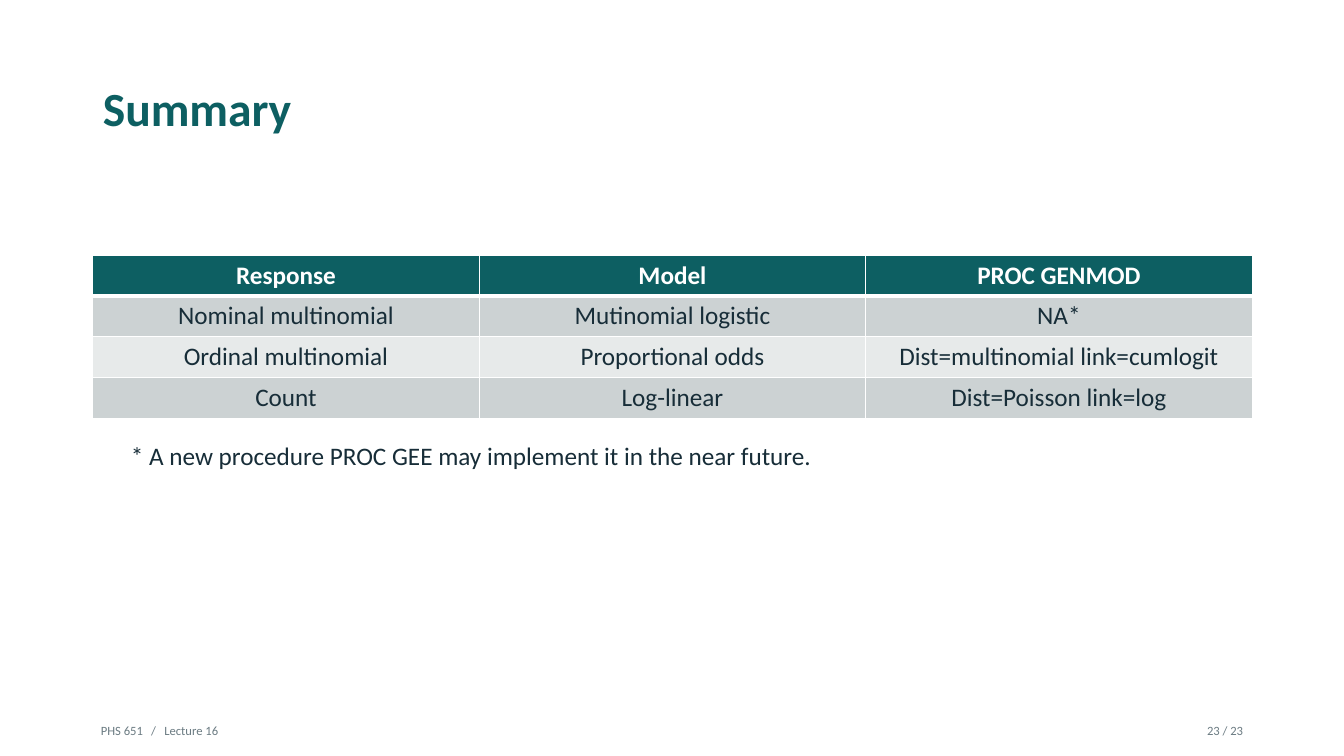
import pptx
import pptx.dml.color
import pptx.enum.text
import pptx.oxml.ns
import pptx.util
from lxml import etree

Inches, Pt = pptx.util.Inches, pptx.util.Pt
ALIGN = pptx.enum.text.PP_ALIGN
ANCHOR = pptx.enum.text.MSO_ANCHOR
AUTO_SIZE = pptx.enum.text.MSO_AUTO_SIZE

FONT = "Calibri"
COLORS = {
    "teal": "0D5F62",
    "ink": "172D38",
    "muted": "6B7B82",
    "white": "FFFFFF",
    "band_dark": "CCD2D3",
    "band_light": "E7EAEA",
}

# Page grid, in inches
WIDTH, HEIGHT = 13.33, 7.5
MARGIN = 0.92
CONTENT_W = 11.5
ROW_H = 0.405
FOOTER_Y, FOOTER_H = 7.17, 0.21

ROWS = [
    ["Response", "Model", "PROC GENMOD"],
    ["Nominal multinomial", "Mutinomial logistic", "NA*"],
    ["Ordinal multinomial", "Proportional odds", "Dist=multinomial link=cumlogit"],
    ["Count", "Log-linear", "Dist=Poisson link=log"],
]


def rgb(name):
    return pptx.dml.color.RGBColor.from_string(COLORS[name])


def add_run(p, text, size, color, bold=False):
    r = p.add_run()
    r.text = text
    r.font.name = FONT
    r.font.size = Pt(size)
    r.font.bold = bold
    r.font.color.rgb = rgb(color)


def add_title(s, text):
    sp = s.shapes.title
    sp.left, sp.top = Inches(MARGIN), Inches(0.4)
    sp.width, sp.height = Inches(CONTENT_W), Inches(1.34)
    tf = sp.text_frame
    tf.auto_size = AUTO_SIZE.NONE
    tf.vertical_anchor = ANCHOR.MIDDLE
    tf.margin_left = tf.margin_right = Inches(0.1)
    tf.margin_top = tf.margin_bottom = 0
    p = tf.paragraphs[0]
    p.alignment = ALIGN.LEFT
    add_run(p, text, 34, "teal", bold=True)


def add_text(s, box, text, size, color, align=ALIGN.LEFT, inset=True, wrap=True, tabs=()):
    sp = s.shapes.add_textbox(*map(Inches, box))
    tf = sp.text_frame
    tf.word_wrap = wrap
    if not inset:
        tf.margin_left = tf.margin_right = tf.margin_top = tf.margin_bottom = 0
    p = tf.paragraphs[0]
    p.alignment = align
    if tabs:
        tab_list = etree.SubElement(p._p.get_or_add_pPr(), pptx.oxml.ns.qn("a:tabLst"))
        for pos in tabs:
            etree.SubElement(tab_list, pptx.oxml.ns.qn("a:tab"), pos=str(Inches(pos)), algn="l")
    add_run(p, text, size, color)
    return tf


def set_borders(cell, bottom, top):
    """Draw white rules on all four sides, placed before the cell's fill."""
    tc_pr = cell._tc.get_or_add_tcPr()
    widths = {"lnL": 1, "lnR": 1, "lnT": top, "lnB": bottom}
    for i, (side, width) in enumerate(widths.items()):
        ln = etree.Element(pptx.oxml.ns.qn(f"a:{side}"), w=str(Pt(width)))
        fill = etree.SubElement(ln, pptx.oxml.ns.qn("a:solidFill"))
        etree.SubElement(fill, pptx.oxml.ns.qn("a:srgbClr"), val=COLORS["white"])
        tc_pr.insert(i, ln)


def add_summary_table(s, rows):
    n_rows, n_cols = len(rows), len(rows[0])
    table = s.shapes.add_table(
        n_rows, n_cols, Inches(MARGIN), Inches(2.53),
        Inches(CONTENT_W), Inches(ROW_H * n_rows),
    ).table
    for i, row in enumerate(rows):
        header = i == 0
        band = "teal" if header else ("band_dark" if i % 2 else "band_light")
        for j, text in enumerate(row):
            cell = table.cell(i, j)
            cell.fill.solid()
            cell.fill.fore_color.rgb = rgb(band)
            set_borders(cell, bottom=3 if header else 1, top=3 if i == 1 else 1)
            p = cell.text_frame.paragraphs[0]
            p.alignment = ALIGN.CENTER
            add_run(p, text, 18, "white" if header else "ink", bold=header)


def main():
    prs = pptx.Presentation()
    prs.slide_width, prs.slide_height = Inches(WIDTH), Inches(HEIGHT)
    s = prs.slides.add_slide(prs.slide_layouts[5])

    # Title and table
    add_title(s, "Summary")
    add_summary_table(s, ROWS)

    # Footnote
    note = add_text(s, (1.2, 4.32, 6.97, 0.4),
                    "* A new procedure PROC GEE may implement it in the near future.",
                    18, "ink", wrap=False)
    note.auto_size = AUTO_SIZE.SHAPE_TO_FIT_TEXT

    # Footer
    add_text(s, (1, FOOTER_Y, 8.85, FOOTER_H), "PHS 651\t/\tLecture 16",
             9, "muted", inset=False, tabs=(0.5, 0.63))
    add_text(s, (11.56, FOOTER_Y, 0.77, FOOTER_H), "23 / 23",
             9, "muted", align=ALIGN.RIGHT, inset=False)

    prs.save("out.pptx")


if __name__ == "__main__":
    main()
